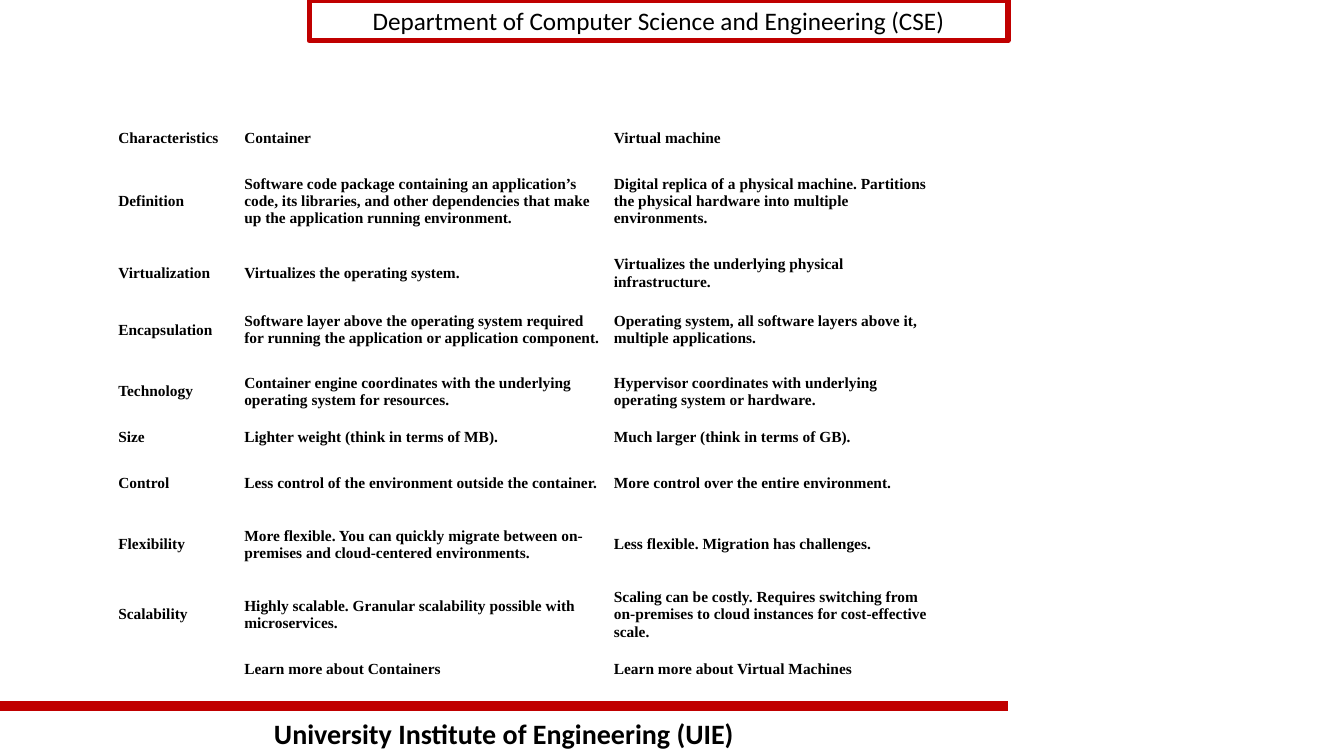
from lxml.etree import SubElement
from pptx import Presentation
from pptx.dml.color import RGBColor
from pptx.enum.shapes import MSO_CONNECTOR, MSO_SHAPE
from pptx.enum.text import MSO_ANCHOR, PP_ALIGN
from pptx.oxml.ns import qn
from pptx.util import Pt

RED = RGBColor(0xC0, 0x00, 0x00)
BLACK = RGBColor(0x00, 0x00, 0x00)

COLUMN_WIDTHS = [90, 264, 240]
ROWS = [
    (17.5, "Characteristics", "Container", "Virtual machine"),
    (72, "Definition",
     "Software code package containing an application’s code, its libraries, "
     "and other dependencies that make up the application running environment.",
     "Digital replica of a physical machine. Partitions the physical hardware "
     "into multiple environments."),
    (31, "Virtualization", "Virtualizes the operating system.",
     "Virtualizes the underlying physical infrastructure."),
    (50, "Encapsulation",
     "Software layer above the operating system required for running the "
     "application or application component.",
     "Operating system, all software layers above it, multiple applications."),
    (38, "Technology",
     "Container engine coordinates with the underlying operating system for resources.",
     "Hypervisor coordinates with underlying operating system or hardware."),
    (27.5, "Size", "Lighter weight (think in terms of MB).",
     "Much larger (think in terms of GB)."),
    (38, "Control", "Less control of the environment outside the container.",
     "More control over the entire environment."),
    (50, "Flexibility",
     "More flexible. You can quickly migrate between on-premises and "
     "cloud-centered environments.",
     "Less flexible. Migration has challenges."),
    (50, "Scalability",
     "Highly scalable. Granular scalability possible with microservices.",
     "Scaling can be costly. Requires switching from on-premises to cloud "
     "instances for cost-effective scale."),
    (27.5, "", "Learn more about Containers", "Learn more about Virtual Machines"),
]


def add_span(para, text, size, font="Calibri", bold=False):
    span = para.add_run()
    span.text = text
    span.font.name = font
    span.font.size = Pt(size)
    span.font.bold = bold
    span.font.color.rgb = BLACK


def add_header(page, left, top, width, height):
    box = page.shapes.add_shape(
        MSO_SHAPE.RECTANGLE, Pt(left), Pt(top), Pt(width), Pt(height))
    box.shadow.inherit = False
    box.fill.background()
    box.line.color.rgb = RED
    box.line.width = Pt(4)
    para = box.text_frame.paragraphs[0]
    para.alignment = PP_ALIGN.CENTER
    add_span(para, "Department of Computer Science and Engineering (CSE)", 18)


def add_comparison(page, left, top):
    width = sum(COLUMN_WIDTHS)
    height = sum(row[0] for row in ROWS)
    table = page.shapes.add_table(
        len(ROWS), len(COLUMN_WIDTHS), Pt(left), Pt(top), Pt(width), Pt(height)).table
    table.first_row = False
    table.horz_banding = False
    for column, column_width in zip(table.columns, COLUMN_WIDTHS):
        column.width = Pt(column_width)
    for row, (row_height, *texts) in zip(table.rows, ROWS):
        row.height = Pt(row_height)
        for cell, text in zip(row.cells, texts):
            cell.fill.background()
            cell.vertical_anchor = MSO_ANCHOR.MIDDLE
            cell.margin_left = cell.margin_right = Pt(4.5)
            cell.margin_top = cell.margin_bottom = Pt(2.25)
            if text:
                add_span(cell.text_frame.paragraphs[0], text, 11,
                         "Times New Roman", True)


def add_footer(page, left, top, width, height):
    # Rule above the institute name
    rule = page.shapes.add_connector(
        MSO_CONNECTOR.STRAIGHT, Pt(left), Pt(top), Pt(left + width), Pt(top))
    rule.line.color.rgb = RED
    rule.line.width = Pt(7)
    SubElement(rule.element.spPr, qn("a:effectLst"))

    # Institute name
    gap = 4.3
    box = page.shapes.add_textbox(
        Pt(left), Pt(top + gap), Pt(width), Pt(height - gap))
    box.text_frame.word_wrap = True
    para = box.text_frame.paragraphs[0]
    para.alignment = PP_ALIGN.CENTER
    add_span(para, "University Institute of Engineering (UIE)", 20, bold=True)


def main():
    deck = Presentation()
    deck.slide_width = Pt(960)
    deck.slide_height = Pt(540)
    page = deck.slides.add_slide(deck.slide_layouts[6])
    add_footer(page, 0, 504, 720, 36)
    add_header(page, 221, 0, 499, 29)
    add_comparison(page, 80, 90)
    deck.save("out.pptx")


if __name__ == "__main__":
    main()
